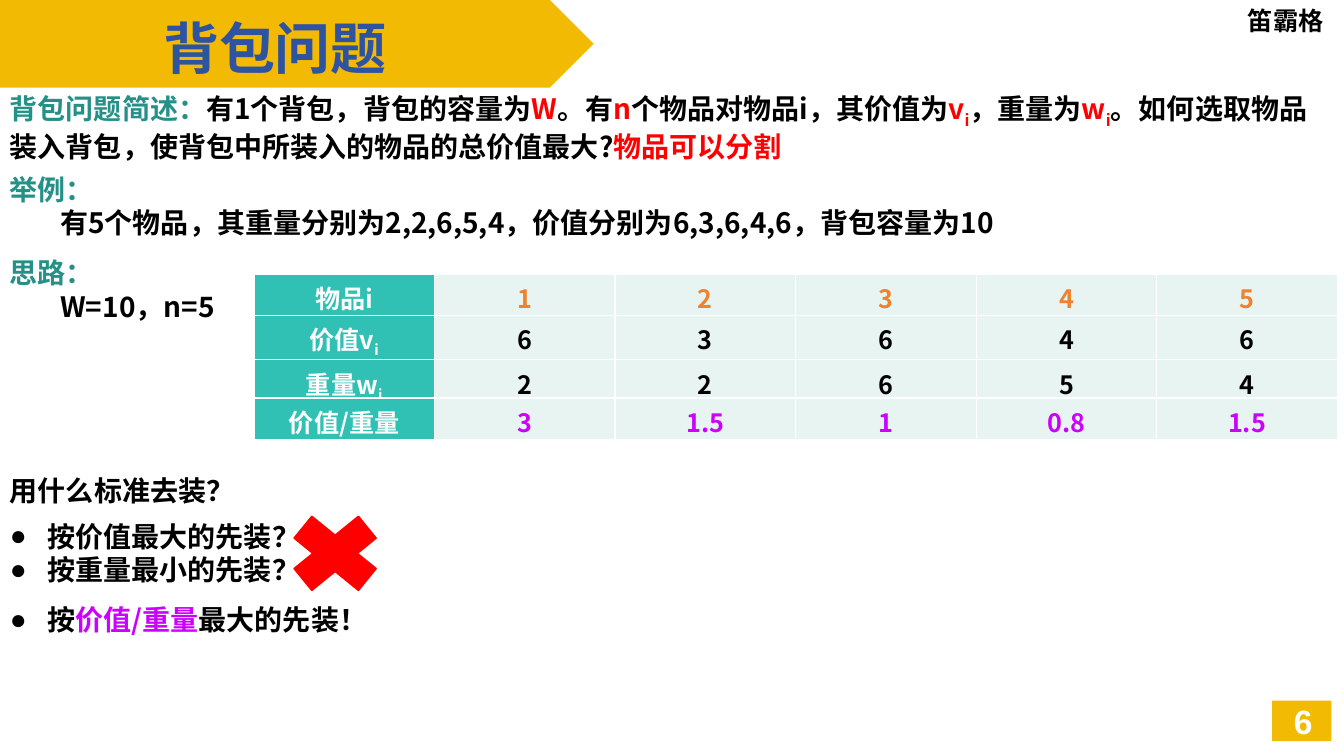
import pptx
import pptx.util
import pptx.dml.color
import pptx.enum.shapes
import pptx.enum.text
import pptx.oxml.ns
import lxml.etree

Pt = pptx.util.Pt
RGB = pptx.dml.color.RGBColor.from_string
SHAPES = pptx.enum.shapes.MSO_SHAPE
ALIGN = pptx.enum.text.PP_ALIGN
MIDDLE = pptx.enum.text.MSO_ANCHOR.MIDDLE
qn = pptx.oxml.ns.qn

THEME = {
    "gold": "F2BA02", "blue": "2E54A1", "green": "249087", "black": "000000",
    "red": "FF0000", "white": "FFFFFF", "orange": "EE822F", "purple": "CC00FF",
    "teal": "30C0B4", "mint": "E8F4F2",
    "body_font": "Noto Sans CJK SC", "title_font": "Calibri", "number_font": "Arial",
    "title": 40, "number": 24, "body": 20, "small": 18,
}

AUTHOR = "笛霸格"
TITLE = "背包问题"
PAGE = "6"
PROBLEM = [
    ("背包问题简述：", "green"), ("有1个背包，背包的容量为", "black"), ("W", "red"),
    ("。有", "black"), ("n", "red"), ("个物品对物品i，其价值为", "black"),
    ("v", "red"), ("i", "red", "sub"), ("，重量为", "black"),
    ("w", "red"), ("i", "red", "sub"),
    ("。如何选取物品装入背包，使背包中所装入的物品的总价值最大?", "black"),
    ("物品可以分割", "red"),
]
EXAMPLE = ("举例：", "有5个物品，其重量分别为2,2,6,5,4，价值分别为6,3,6,4,6，背包容量为10")
IDEA = ("思路：", "W=10，n=5")
ITEMS = [
    ([("物品i", "white")], "orange", ["1", "2", "3", "4", "5"]),
    ([("价值v", "white"), ("i", "white", "sub")], "black", ["6", "3", "6", "4", "6"]),
    ([("重量w", "white"), ("i", "white", "sub")], "black", ["2", "2", "6", "5", "4"]),
]
RATIOS = [([("价值/重量", "white")], "purple", ["3", "1.5", "1", "0.8", "1.5"])]
QUESTION = "用什么标准去装？"
WRONG = ["按价值最大的先装？", "按重量最小的先装？"]
RIGHT = [("按", "black"), ("价值/重量", "purple"), ("最大的先装！", "black")]

WIDTH, HEIGHT = 960, 540
TABLE_LEFT, TABLE_TOP, COLUMN = 181.4, 195.8, 129
ROW, RATIO_ROW = 29.5, 30
INDENT, HANG = 36, 27

deck = pptx.Presentation()
deck.slide_width, deck.slide_height = Pt(WIDTH), Pt(HEIGHT)
slide = deck.slides.add_slide(deck.slide_layouts[6])


def write(frame, paragraphs, font="body_font", size="body", align=ALIGN.LEFT,
          bullet=False, indents=()):
    for index, runs in enumerate(paragraphs):
        paragraph = frame.paragraphs[0] if index == 0 else frame.add_paragraph()
        paragraph.alignment = align
        props = paragraph._p.get_or_add_pPr()
        if bullet:
            props.set("marL", str(Pt(HANG)))
            props.set("indent", str(-Pt(HANG)))
            lxml.etree.SubElement(props, qn("a:buFont"), typeface=THEME["number_font"])
            lxml.etree.SubElement(props, qn("a:buChar"), char="●")
        elif index in indents:
            props.set("marL", str(Pt(INDENT)))
            props.set("indent", "0")
        for words, colour, *script in runs:
            run = paragraph.add_run()
            run.text = words
            run.font.name = THEME[font]
            run.font.size = Pt(THEME[size])
            run.font.bold = True
            run.font.color.rgb = RGB(THEME[colour])
            run_props = run._r.get_or_add_rPr()
            if font == "body_font":
                lxml.etree.SubElement(run_props, qn("a:ea"), typeface=THEME[font])
            if script:
                run_props.set("baseline", "-25000")


def add_text(left, top, width, height, paragraphs, wrap=True, anchor=None, **style):
    frame = slide.shapes.add_textbox(Pt(left), Pt(top), Pt(width), Pt(height)).text_frame
    frame.word_wrap = wrap
    if anchor is not None:
        frame.vertical_anchor = anchor
    write(frame, paragraphs, **style)


def add_block(kind, left, top, width, height, colour):
    block = slide.shapes.add_shape(kind, Pt(left), Pt(top), Pt(width), Pt(height))
    block.shadow.inherit = False
    block.fill.solid()
    block.fill.fore_color.rgb = RGB(THEME[colour])
    block.line.fill.background()
    return block


def fill_cell(cell, runs, background):
    cell.fill.solid()
    cell.fill.fore_color.rgb = RGB(THEME[background])
    cell.vertical_anchor = MIDDLE
    write(cell.text_frame, [runs], size="small", align=ALIGN.CENTER)
    props = cell._tc.get_or_add_tcPr()
    for position, side in enumerate(("a:lnL", "a:lnR", "a:lnT", "a:lnB")):
        border = lxml.etree.Element(qn(side), w=str(Pt(1)))
        paint = lxml.etree.SubElement(border, qn("a:solidFill"))
        lxml.etree.SubElement(paint, qn("a:srgbClr"), val=THEME["white"])
        props.insert(position, border)


def add_grid(top, row_height, rows):
    columns = 1 + len(rows[0][2])
    grid = slide.shapes.add_table(len(rows), columns, Pt(TABLE_LEFT), Pt(top),
                                  Pt(COLUMN * columns), Pt(row_height * len(rows))).table
    for column in grid.columns:
        column.width = Pt(COLUMN)
    for index, (heading, colour, values) in enumerate(rows):
        grid.rows[index].height = Pt(row_height)
        fill_cell(grid.cell(index, 0), heading, "teal")
        for place, value in enumerate(values, 1):
            fill_cell(grid.cell(index, place), [(value, colour)], "mint")


add_block(SHAPES.RECTANGLE, 908.6, 500.4, 42.5, 29, "gold")
add_block(SHAPES.PENTAGON, 0, 0, 424, 62.6, "gold")
add_text(884.2, 0, 75.6, 29, [[(AUTHOR, "black")]], font="title_font", size="small")
add_text(894.2, 500.4, 50.4, 29, [[(PAGE, "white")]], anchor=MIDDLE,
         font="number_font", size="number", align=ALIGN.RIGHT)
add_text(109.4, 5.8, 174.2, 55.4, [[(TITLE, "blue")]], wrap=False,
         font="title_font", size="title")
add_text(0, 62, 955.4, 59, [PROBLEM])
for top, width, (heading, detail) in ((119.5, WIDTH, EXAMPLE), (179.3, 181.4, IDEA)):
    add_text(0, top, width, 59.8, [[(heading, "green")], [(detail, "black")]], indents=(1,))

add_grid(TABLE_TOP, ROW, ITEMS)
add_grid(TABLE_TOP + ROW * len(ITEMS), RATIO_ROW, RATIOS)

add_text(0, 334.8, 181.4, 32.4, [[(QUESTION, "black")]])
add_text(0, 367.2, 273.6, 59.8, [[(choice, "black")] for choice in WRONG], bullet=True)
cross = add_block(SHAPES.MATH_MULTIPLY, 195.1, 359.3, 88.6, 72, "red")
cross.adjustments[0] = 0.28
cross.line.color.rgb = RGB(THEME["red"])
cross.line.width = Pt(1)
add_text(0, 427, 273.6, 32.4, [RIGHT], bullet=True)

deck.save("out.pptx")
